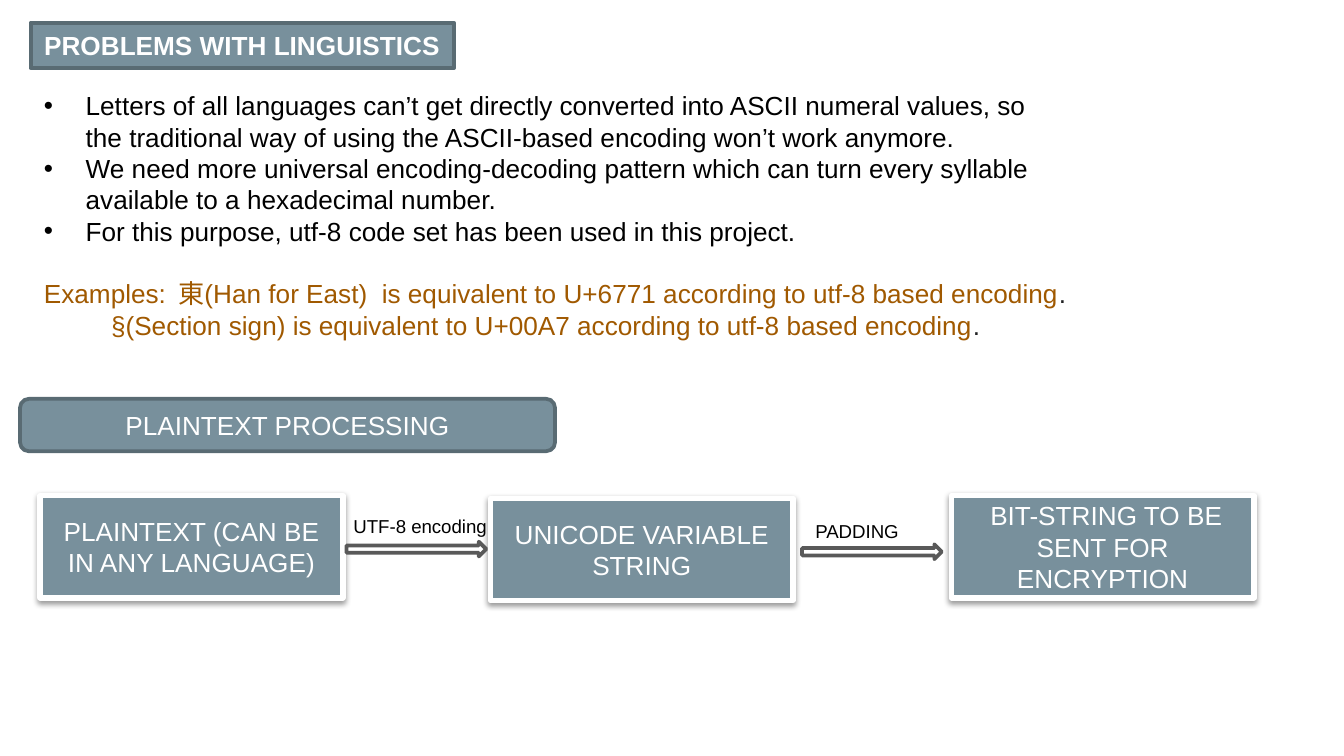
from lxml import etree
from pptx import Presentation
from pptx import util as u
from pptx.dml.color import RGBColor
from pptx.enum import shapes, text
from pptx.oxml import ns

hues = {"slate": "78909C", "edge": "596B73", "white": "FFFFFF", "black": "000000",
        "gray": "595959", "amber": "A05900", "ink": "202122"}
kinds = shapes.MSO_SHAPE
anchors = text.MSO_ANCHOR
left, mid = text.PP_ALIGN.LEFT, text.PP_ALIGN.CENTER


def write(para, words, size=14, hue="black", bold=False, align=left):
    para.alignment = align
    run = para.add_run()
    run.text = words
    run.font.name = "Arial"
    run.font.size = u.Pt(size)
    run.font.bold = bold
    run.font.color.rgb = RGBColor.from_string(hues[hue])


def draw(kind, x, y, wide, high, fill, line, thick):
    shape = slide.shapes.add_shape(kind, u.Cm(x), u.Cm(y), u.Cm(wide), u.Cm(high))
    shape.shadow.inherit = False
    shape.fill.solid()
    shape.fill.fore_color.rgb = RGBColor.from_string(hues[fill])
    shape.line.color.rgb = RGBColor.from_string(hues[line])
    shape.line.width = u.Pt(thick)
    shape.text_frame.word_wrap = True
    shape.text_frame.vertical_anchor = anchors.MIDDLE
    return shape


deck = Presentation()
deck.slide_width, deck.slide_height = u.Cm(25.4), u.Cm(14.29)
slide = deck.slides.add_slide(deck.slide_layouts[5])

plate = draw(kinds.RECTANGLE, 0.58, 0.43, 8, 0.86, "slate", "edge", 2)
title = slide.shapes.title
title.left, title.top, title.width, title.height = u.Cm(0.58), u.Cm(0.43), u.Cm(11.66), u.Cm(0.86)
title.text_frame.auto_size = text.MSO_AUTO_SIZE.NONE
title.text_frame.vertical_anchor = anchors.TOP
write(title.text_frame.paragraphs[0], "PROBLEMS WITH LINGUISTICS", hue="white", bold=True)
plate._element.addnext(title._element)

body = slide.shapes.add_textbox(u.Cm(0.58), u.Cm(1.57), u.Cm(19.86), u.Cm(5.64)).text_frame
body.word_wrap = True
points = [
    "Letters of all languages can’t get directly converted into ASCII numeral values, so the traditional way of using the ASCII-based encoding won’t work anymore.",
    "We need more universal encoding-decoding pattern which can turn every syllable available to a hexadecimal number.",
    "For this purpose, utf-8 code set has been used in this project.",
]
for i, point in enumerate(points):
    para = body.add_paragraph() if i else body.paragraphs[0]
    props = para._p.get_or_add_pPr()
    props.set("marL", str(u.Cm(0.79)))
    props.set("indent", str(-u.Cm(0.79)))
    etree.SubElement(props, ns.qn("a:buFont")).set("typeface", "Arial")
    etree.SubElement(props, ns.qn("a:buChar")).set("char", "•")
    write(para, point)

samples = [
    ("Examples:\t東(Han for East)  is equivalent to U+6771 according to utf-8 based encoding", 16.8),
    ("\t§(Section sign) is equivalent to U+00A7 according to utf-8 based encoding", 0),
]
for sample, gap in samples:
    para = body.add_paragraph()
    para.space_before = u.Pt(gap)
    write(para, sample, hue="amber")
    write(para, ".", hue="ink")

head = draw(kinds.ROUNDED_RECTANGLE, 0.38, 7.54, 10.11, 0.99, "slate", "edge", 2)
write(head.text_frame.paragraphs[0], "PLAINTEXT PROCESSING", hue="white", align=mid)

steps = [
    ("PLAINTEXT (CAN BE IN ANY LANGUAGE)", 0.76, 9.37),
    ("UNICODE VARIABLE STRING", 9.27, 9.42),
    (" BIT-STRING TO BE SENT FOR ENCRYPTION", 17.98, 9.37),
]
for words, x, y in steps:
    step = draw(kinds.RECTANGLE, x, y, 5.72, 1.93, "slate", "white", 3)
    write(step.text_frame.paragraphs[0], words, hue="white", align=mid)
    glow = step._element.spPr.find(ns.qn("a:effectLst"))
    shade = etree.SubElement(glow, ns.qn("a:outerShdw"), blurRad=str(u.Pt(3.1)),
                             dist=str(u.Pt(1.6)), dir="5400000", rotWithShape="0")
    tint = etree.SubElement(shade, ns.qn("a:srgbClr"), val=hues["black"])
    etree.SubElement(tint, ns.qn("a:alpha"), val="38000")

links = [("UTF-8 encoding", 6.55, 10.24, 6.43, 9.6), ("PADDING", 15.16, 10.29, 15.16, 9.7)]
for words, x, y, lx, ly in links:
    draw(kinds.RIGHT_ARROW, x, y, 2.64, 0.28, "white", "gray", 2)
    label = slide.shapes.add_textbox(u.Cm(lx), u.Cm(ly), u.Cm(3.63), u.Cm(0.69)).text_frame
    label.word_wrap = True
    write(label.paragraphs[0], words, size=10)

deck.save("out.pptx")
